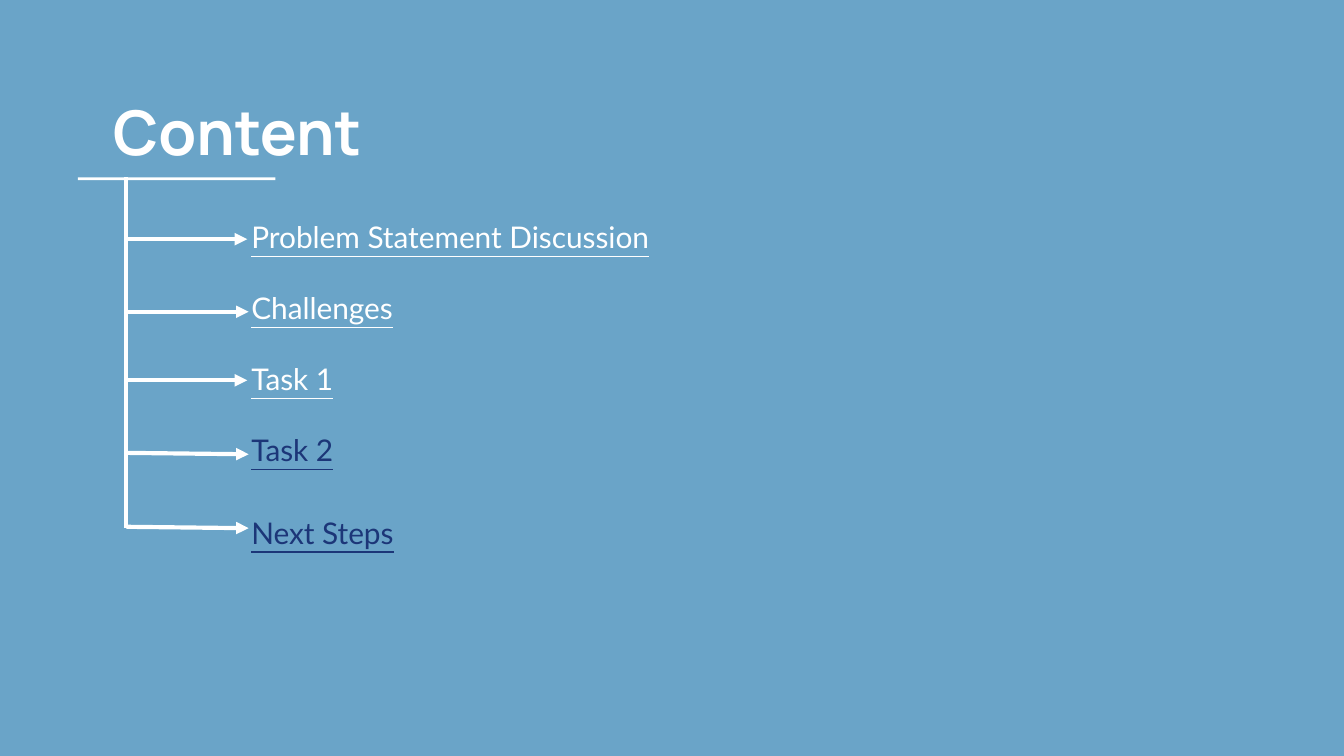
from lxml import etree
from pptx import Presentation
from pptx.dml.color import RGBColor
from pptx.enum.shapes import MSO_CONNECTOR, MSO_SHAPE
from pptx.enum.text import MSO_ANCHOR, MSO_AUTO_SIZE, PP_ALIGN
from pptx.oxml.ns import qn
from pptx.util import Inches, Pt

STRAIGHT = MSO_CONNECTOR.STRAIGHT
RECTANGLE = MSO_SHAPE.RECTANGLE
TOP = MSO_ANCHOR.TOP
NO_AUTOFIT = MSO_AUTO_SIZE.NONE
LEFT = PP_ALIGN.LEFT

BLUE = RGBColor(0x6A, 0xA4, 0xC8)
WHITE = RGBColor(0xFF, 0xFF, 0xFF)
NAVY = RGBColor(0x1C, 0x36, 0x78)

TRUNK_X = 0.94
ITEMS = [
    ("Problem Statement Discussion", WHITE, 0),
    ("Challenges", WHITE, 16),
    ("Task 1", WHITE, 16),
    ("Task 2", NAVY, 16),
    ("Next Steps", NAVY, 22),
]
BRANCHES = [
    (1.78, 1.84, 1.78),
    (2.32, 1.85, 2.32),
    (2.83, 1.84, 2.83),
    (3.37, 1.85, 3.38),
    (3.92, 1.85, 3.93),
]


class ContentSlide:
    title_font = "Manrope"
    body_font = "Lato"
    line_width = Pt(2.25)

    def __init__(self, prs):
        self.slide = prs.slides.add_slide(prs.slide_layouts[1])
        fill = self.slide.background.fill
        fill.solid()
        fill.fore_color.rgb = BLUE

    def place(self, sp, left, top, width, height):
        sp.left, sp.top = Inches(left), Inches(top)
        sp.width, sp.height = Inches(width), Inches(height)
        tf = sp.text_frame
        tf.auto_size = NO_AUTOFIT
        tf.word_wrap = True
        tf.vertical_anchor = TOP
        tf.margin_left = tf.margin_right = Inches(0.1)
        tf.margin_top = tf.margin_bottom = Inches(0.1)
        return tf

    def title(self, text, *box):
        tf = self.place(self.slide.shapes.title, *box)
        tf.text = text
        p = tf.paragraphs[0]
        p.alignment = LEFT
        font = p.runs[0].font
        font.name, font.size, font.bold = self.title_font, Pt(33), True
        font.color.rgb = WHITE

    def items(self, items, *box):
        tf = self.place(self.slide.placeholders[1], *box)
        tf.text = "\n".join(text for text, _, _ in items)
        for p, (_, color, gap) in zip(tf.paragraphs, items):
            p.line_spacing = 1.15
            p.space_before = Pt(gap)
            p.space_after = Pt(0)
            pPr = p._p.get_or_add_pPr()
            pPr.set("marL", "0")
            pPr.set("indent", "0")
            etree.SubElement(pPr, qn("a:buNone"))
            font = p.runs[0].font
            font.name, font.size, font.underline = self.body_font, Pt(16), True
            font.color.rgb = color

    def rule(self, left, top, width, height):
        sp = self.slide.shapes.add_shape(
            RECTANGLE, Inches(left), Inches(top), Inches(width), Inches(height))
        sp.shadow.inherit = False
        sp.fill.solid()
        sp.fill.fore_color.rgb = WHITE
        sp.line.fill.background()

    def line(self, x1, y1, x2, y2, arrow=False):
        cxn = self.slide.shapes.add_connector(
            STRAIGHT, Inches(x1), Inches(y1), Inches(x2), Inches(y2))
        cxn.line.color.rgb = WHITE
        cxn.line.width = self.line_width
        if arrow:
            ln = cxn.line._get_or_add_ln()
            etree.SubElement(ln, qn("a:tailEnd"), type="triangle")
        etree.SubElement(cxn._element.spPr, qn("a:effectLst"))


def main():
    prs = Presentation()
    prs.slide_width = Inches(10)
    prs.slide_height = prs.slide_width * 9 // 16
    s = ContentSlide(prs)
    s.rule(0.58, 1.32, 1.47, 0.02)
    s.title("Content", 0.74, 0.6, 3.13, 1.66)
    s.items(ITEMS, 1.77, 1.49, 4.46, 2.65)
    s.line(TRUNK_X, 1.32, TRUNK_X, 3.93)
    for start_y, end_x, end_y in BRANCHES:
        s.line(TRUNK_X, start_y, end_x, end_y, arrow=True)
    prs.save("out.pptx")


if __name__ == "__main__":
    main()
